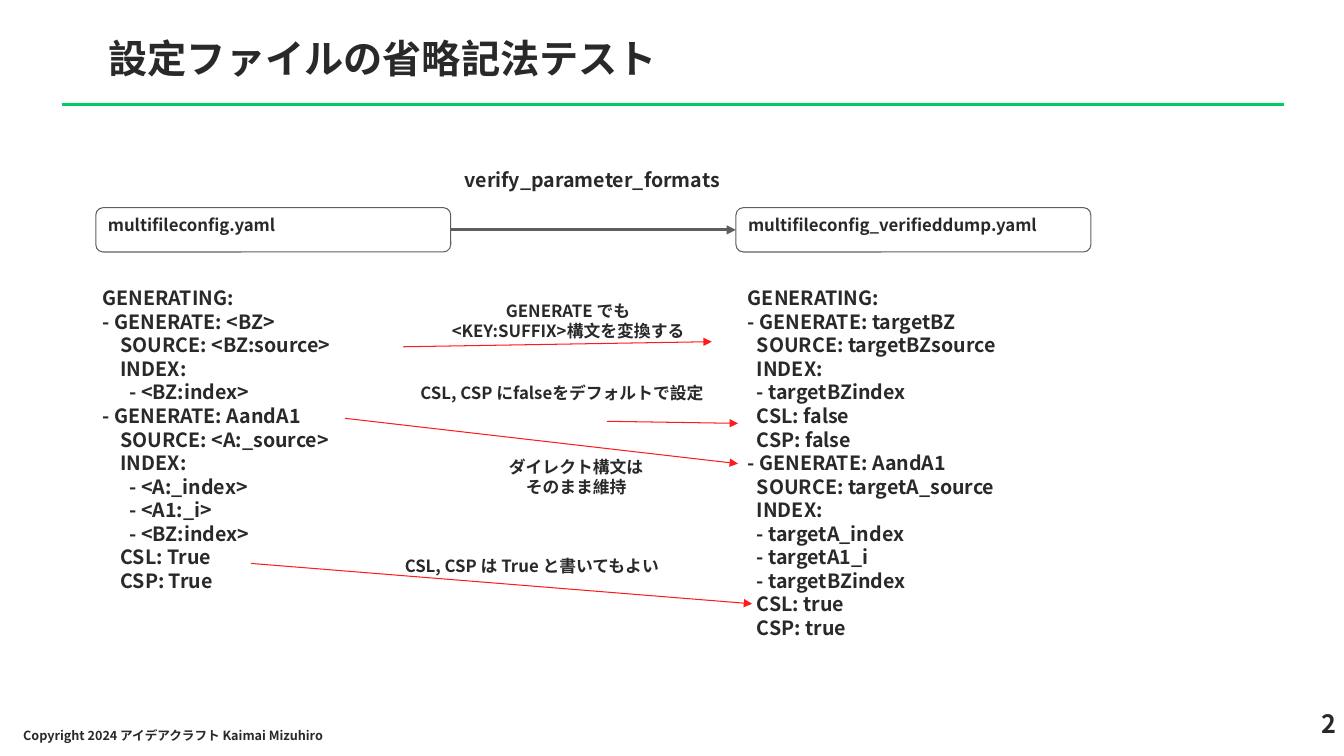
from lxml import etree
from pptx import Presentation
from pptx import util as u
from pptx.dml.color import RGBColor
from pptx.enum import shapes, text
from pptx.oxml.ns import qn

THEME = dict(font="Noto Sans CJK JP", ink="292929", rule="00CC66", border="5E5E5E",
             arrow="FF1B1B", paper="FFFFFF", title=28, number=18, code=14, label=12,
             footer=9, leading=1.2, thick=2.25, thin=0.75)
LEFT, CENTER, RIGHT = text.PP_ALIGN.LEFT, text.PP_ALIGN.CENTER, text.PP_ALIGN.RIGHT

prs = Presentation()
prs.slide_width, prs.slide_height = u.Inches(13.33), u.Inches(7.5)
COL, ROW = prs.slide_width / 100, prs.slide_height / 100
s = prs.slides.add_slide(prs.slide_layouts[6])


def write(sp, lines, size, align=LEFT):
    tf = sp.text_frame
    tf.word_wrap = True
    tf.vertical_anchor = text.MSO_ANCHOR.TOP
    for i, line in enumerate(lines):
        p = tf.paragraphs[0] if i == 0 else tf.add_paragraph()
        p.alignment = align
        p.line_spacing = u.Pt(size * THEME["leading"])
        r = p.add_run()
        r.text = line
        r.font.name, r.font.size, r.font.bold = THEME["font"], u.Pt(size), True
        r.font.color.rgb = RGBColor.from_string(THEME["ink"])
        etree.SubElement(r.font._element, qn("a:ea"), typeface=THEME["font"])


def connect(x1, y1, x2, y2, color, width, head=True):
    c = s.shapes.add_connector(shapes.MSO_CONNECTOR.STRAIGHT, int(x1 * COL), int(y1 * ROW),
                               int(x2 * COL), int(y2 * ROW))
    c.line.color.rgb = RGBColor.from_string(color)
    c.line.width = u.Pt(width)
    if head:
        etree.SubElement(c.line._get_or_add_ln(), qn("a:tailEnd"), type="triangle")
    etree.SubElement(c._element.spPr, qn("a:effectLst"))
    return c


connect(4.58, 13.87, 95.5, 13.87, THEME["rule"], THEME["thick"], head=False)

CARD_Y, CARD_W, CARD_H = 27.47, 26.41, 5.87
cards = []
for x, name in [(7.13, "multifileconfig.yaml"), (54.76, "multifileconfig_verifieddump.yaml")]:
    sp = s.shapes.add_shape(shapes.MSO_SHAPE.ROUNDED_RECTANGLE, int(x * COL), int(CARD_Y * ROW),
                            int(CARD_W * COL), int(CARD_H * ROW))
    sp.shadow.inherit = False
    sp.fill.solid()
    sp.fill.fore_color.rgb = RGBColor.from_string(THEME["paper"])
    sp.line.color.rgb = RGBColor.from_string(THEME["border"])
    sp.line.width = u.Pt(THEME["thin"])
    write(sp, [name], THEME["label"])
    cards.append(sp)

mid = CARD_Y + CARD_H / 2
flow = connect(33.54, mid, 54.76, mid, THEME["border"], THEME["thick"])
flow.begin_connect(cards[0], 3)
flow.end_connect(cards[1], 1)

source_yaml = """GENERATING:
- GENERATE: <BZ>
    SOURCE: <BZ:source>
    INDEX:
      - <BZ:index>
- GENERATE: AandA1
    SOURCE: <A:_source>
    INDEX:
      - <A:_index>
      - <A1:_i>
      - <BZ:index>
    CSL: True
    CSP: True"""
verified_yaml = """GENERATING:
- GENERATE: targetBZ
  SOURCE: targetBZsource
  INDEX:
  - targetBZindex
  CSL: false
  CSP: false
- GENERATE: AandA1
  SOURCE: targetA_source
  INDEX:
  - targetA_index
  - targetA1_i
  - targetBZindex
  CSL: true
  CSP: true"""

for x1, y1, x2, y2 in [(30.01, 45.87, 52.96, 45.2), (45.16, 55.73, 54.91, 56),
                       (25.66, 55.33, 54.91, 61.33), (18.68, 74.53, 55.96, 79.87)]:
    connect(x1, y1, x2, y2, THEME["arrow"], THEME["thin"])

for x, y, w, h, content, size, align in [
    (7.35, 3.87, 89.87, 9.47, "設定ファイルの省略記法テスト", "title", LEFT),
    (0.98, 95.6, 41.41, 3.73, "Copyright 2024 アイデアクラフト Kaimai Mizuhiro", "footer", LEFT),
    (87.85, 93.07, 12.3, 6.67, "2", "number", RIGHT),
    (32.18, 21.6, 23.78, 4.53, "verify_parameter_formats", "code", CENTER),
    (6.9, 37.2, 27.61, 45.33, source_yaml, "code", LEFT),
    (54.91, 37.2, 27.61, 48.53, verified_yaml, "code", LEFT),
    (30.38, 39.07, 23.78, 6.67, "GENERATE でも\n<KEY:SUFFIX>構文を変換する", "label", CENTER),
    (28.73, 50, 26.18, 4, "CSL, CSP にfalseをデフォルトで設定", "label", CENTER),
    (30.98, 59.73, 23.78, 6.67, "ダイレクト構文は\nそのまま維持", "label", CENTER),
    (27.68, 72.8, 23.78, 4, "CSL, CSP は True と書いてもよい", "label", CENTER),
]:
    box = s.shapes.add_textbox(int(x * COL), int(y * ROW), int(w * COL), int(h * ROW))
    write(box, content.split("\n"), THEME[size], align)

prs.save("out.pptx")
